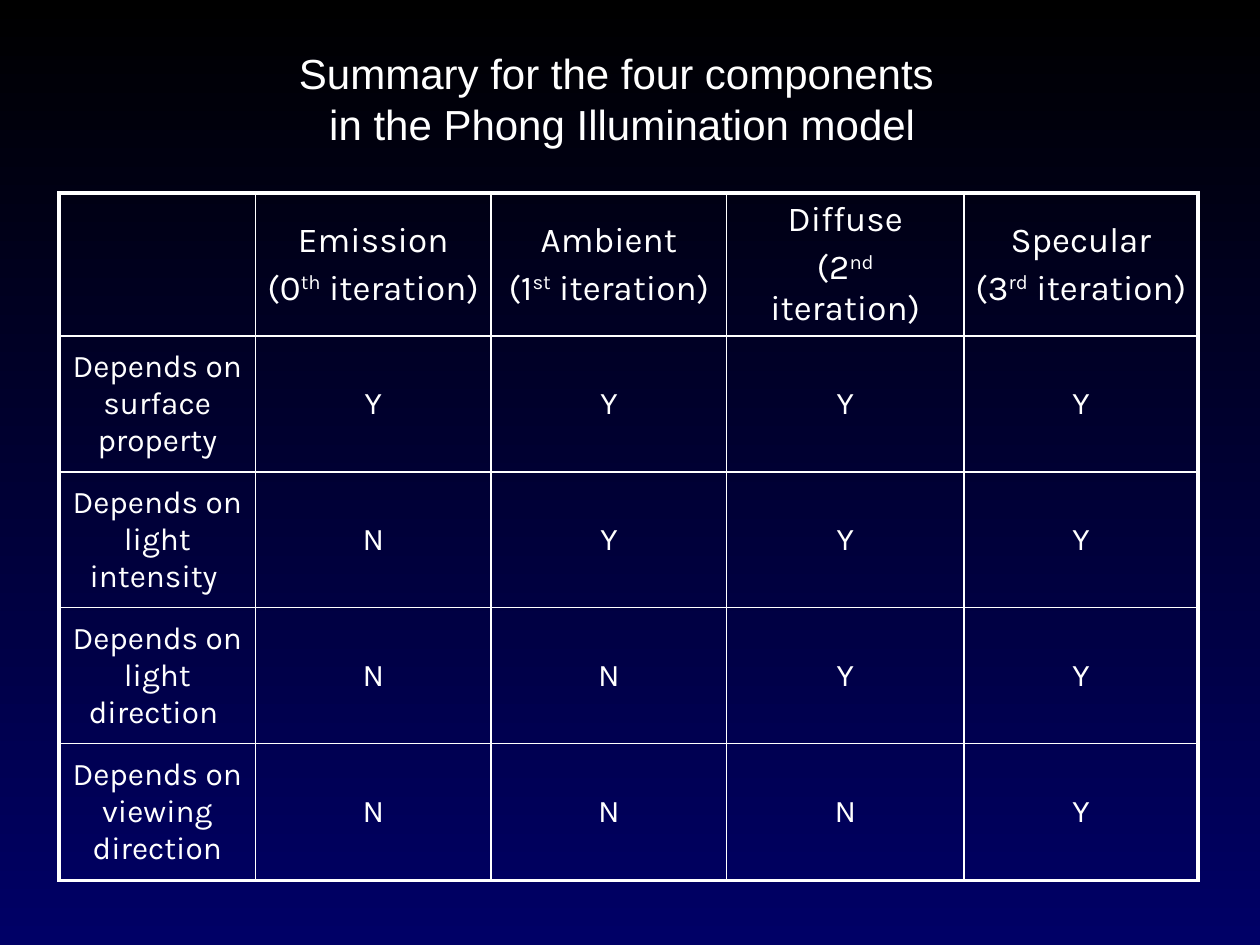
from lxml import etree
from pptx import Presentation
from pptx.dml.color import RGBColor
from pptx.enum.text import MSO_ANCHOR as Anchor, MSO_AUTO_SIZE as AutoSize, PP_ALIGN as Align
from pptx.oxml.ns import qn
from pptx.util import Cm, Pt

WHITE = RGBColor(0xFF, 0xFF, 0xFF)
BLACK = RGBColor(0x00, 0x00, 0x00)
NAVY = RGBColor(0x00, 0x00, 0x66)

TITLE_LINES = ["Summary for the four components ", "in the Phong Illumination model"]
COMPONENTS = [
    ("Emission", "0", "th"),
    ("Ambient", "1", "st"),
    ("Diffuse", "2", "nd"),
    ("Specular", "3", "rd"),
]
DEPENDENCIES = [
    ("Depends on surface property", "YYYY"),
    ("Depends on light intensity ", "NYYY"),
    ("Depends on light direction ", "NNYY"),
    ("Depends on viewing direction", "NNNY"),
]
COLUMN_WIDTHS = [3.96, 4.75, 4.75, 4.78, 4.72]
ROW_HEIGHTS = [2.76, 2.74, 2.74, 2.74, 2.76]
INNER_LINE = Pt(1)
OUTER_LINE = Pt(2.25)


def paint_background(slide):
    fill = slide.background.fill
    fill.gradient()
    fill.gradient_angle = 270
    for stop, color in zip(fill.gradient_stops, (BLACK, NAVY)):
        stop.color.rgb = color


def style_paragraph(paragraph, font_name, size):
    paragraph.alignment = Align.CENTER
    paragraph.font.name = font_name
    paragraph.font.size = Pt(size)
    paragraph.font.color.rgb = WHITE


def add_title(slide):
    box = slide.shapes.add_textbox(Cm(2.31), Cm(0.84), Cm(20.47), Cm(2.31))
    frame = box.text_frame
    frame.word_wrap = True
    frame.auto_size = AutoSize.SHAPE_TO_FIT_TEXT
    frame.text = "\n".join(TITLE_LINES)
    for paragraph in frame.paragraphs:
        style_paragraph(paragraph, "Arial", 24)


def add_border(cell, side, width):
    properties = cell._tc.get_or_add_tcPr()
    line = etree.SubElement(properties, qn(f"a:ln{side}"), w=str(width))
    fill = etree.SubElement(line, qn("a:solidFill"))
    etree.SubElement(fill, qn("a:srgbClr"), val=str(WHITE))


def format_cell(cell, outer_sides):
    for side in "LRTB":
        add_border(cell, side, OUTER_LINE if side in outer_sides else INNER_LINE)
    cell.fill.background()
    cell.vertical_anchor = Anchor.MIDDLE
    cell.margin_left = cell.margin_right = Cm(0.23)
    cell.margin_top = cell.margin_bottom = Cm(0.13)


def fill_header(cell, name, number, suffix):
    frame = cell.text_frame
    frame.text = name
    style_paragraph(frame.paragraphs[0], "Karla", 20)
    iteration = frame.add_paragraph()
    iteration.space_before = Pt(4)
    style_paragraph(iteration, "Karla", 20)
    for text in (f"({number}", suffix, " iteration)"):
        run = iteration.add_run()
        run.text = text
        if text == suffix:
            run._r.get_or_add_rPr().set("baseline", "30000")


def fill_body(cell, text):
    cell.text = text
    style_paragraph(cell.text_frame.paragraphs[0], "Karla", 18)


def add_summary_table(slide):
    rows, columns = len(ROW_HEIGHTS), len(COLUMN_WIDTHS)
    frame = slide.shapes.add_table(
        rows, columns, Cm(1.19), Cm(3.89), Cm(sum(COLUMN_WIDTHS)), Cm(sum(ROW_HEIGHTS))
    )
    table = frame.table
    table.first_row = table.horz_banding = False
    for column, width in zip(table.columns, COLUMN_WIDTHS):
        column.width = Cm(width)
    for row, height in zip(table.rows, ROW_HEIGHTS):
        row.height = Cm(height)

    for row in range(rows):
        for column in range(columns):
            edges = {"L": column == 0, "R": column == columns - 1,
                     "T": row == 0, "B": row == rows - 1}
            format_cell(table.cell(row, column), [side for side in edges if edges[side]])

    for column, component in enumerate(COMPONENTS, 1):
        fill_header(table.cell(0, column), *component)
    for row, (label, answers) in enumerate(DEPENDENCIES, 1):
        for column, text in enumerate([label, *answers]):
            fill_body(table.cell(row, column), text)


def main():
    presentation = Presentation()
    presentation.slide_width = Cm(25.4)
    presentation.slide_height = Cm(19.05)
    slide = presentation.slides.add_slide(presentation.slide_layouts[6])
    paint_background(slide)
    add_summary_table(slide)
    add_title(slide)
    presentation.save("out.pptx")


if __name__ == "__main__":
    main()
